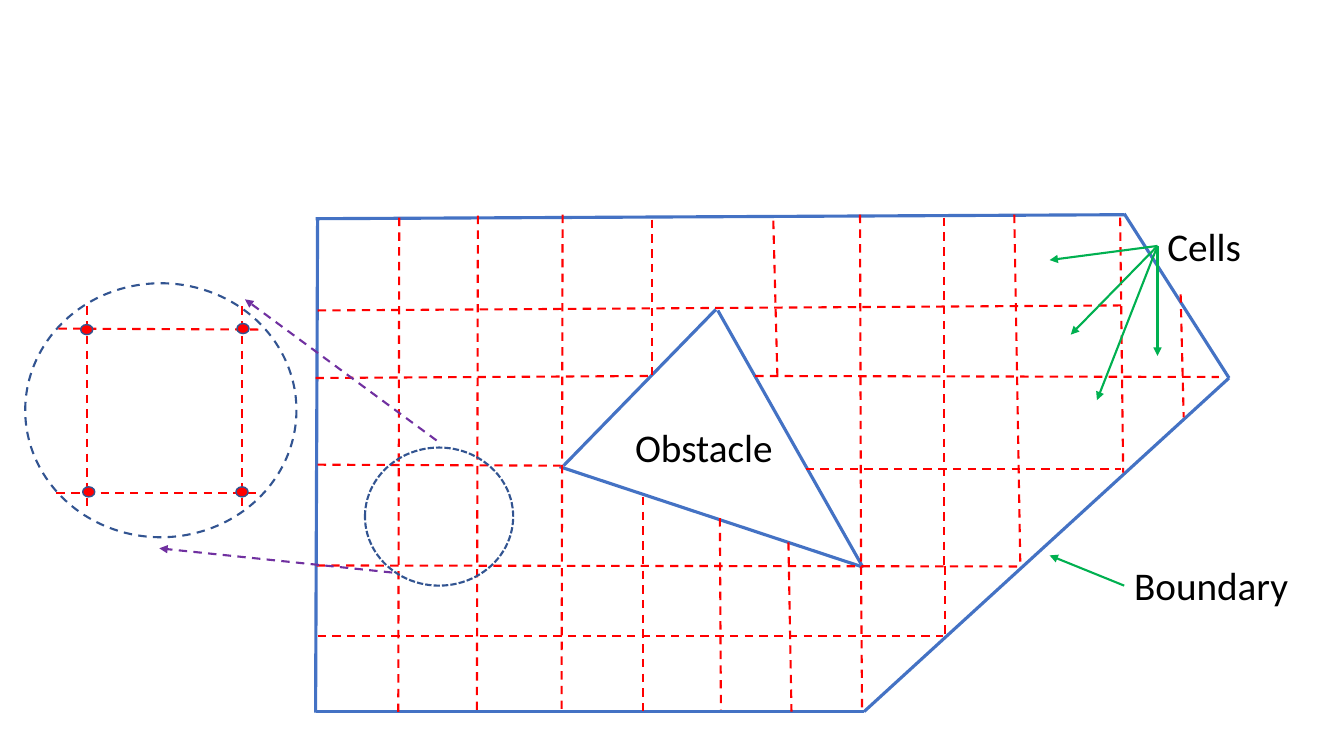
"""Draw a cell grid around an obstacle, with one cell magnified."""
from dataclasses import dataclass

from lxml import etree
from pptx import Presentation
from pptx import util as u
from pptx.dml.color import RGBColor
from pptx.enum import dml, shapes, text
from pptx.oxml.ns import qn


@dataclass(frozen=True)
class Theme:
    font: str = "Calibri"
    label_size: int = 28
    ink: str = "000000"
    wall: str = "4472C4"
    grid: str = "FF0000"
    pointer: str = "00B050"
    zoom: str = "7030A0"
    ring: str = "325491"
    wall_width: float = 2.25
    line_width: float = 1.5
    node_width: float = 1


THEME = Theme()
DASH = dml.MSO_LINE.DASH
SHORT_DASH = dml.MSO_LINE.SQUARE_DOT

WALLS = [
    (3.15, 2.16, 3.13, 7.07),
    (3.13, 2.17, 11.15, 2.13),
    (3.13, 7.06, 8.57, 7.06),
    (11.15, 2.12, 12.19, 3.75),
    (8.57, 7.06, 12.19, 3.75),
]
OBSTACLE_SIDES = [
    (5.59, 4.62, 7.1, 3.07),
    (8.56, 5.63, 7.12, 3.08),
    (8.54, 5.62, 5.55, 4.63),
]
GRID_COLUMNS = [
    (3.96, 2.16, 3.95, 7.08),
    (4.74, 2.14, 4.73, 7.07),
    (5.58, 2.13, 5.57, 7.06),
    (6.47, 2.18, 6.47, 3.72),
    (6.38, 4.93, 6.38, 7.05),
    (7.14, 5.14, 7.15, 7.04),
    (7.67, 2.19, 7.71, 3.72),
    (7.82, 5.38, 7.85, 7.06),
    (8.53, 2.13, 8.54, 5.59),
    (8.54, 5.62, 8.55, 7.03),
    (9.36, 2.16, 9.36, 5.62),
    (9.37, 5.62, 9.37, 6.32),
    (10.06, 2.13, 10.12, 5.61),
    (11.11, 2.16, 11.14, 4.69),
    (11.71, 2.92, 11.74, 4.14),
]
GRID_ROWS = [
    (3.15, 3.08, 11.14, 3.03),
    (3.13, 3.75, 6.46, 3.73),
    (7.49, 3.73, 12.09, 3.74),
    (3.15, 4.61, 5.56, 4.62),
    (7.99, 4.65, 11.12, 4.65),
    (3.14, 5.61, 10.12, 5.62),
    (3.15, 6.31, 9.35, 6.31),
]
ZOOMED_CELL = [
    (0.86, 3.04, 0.86, 5.08),
    (2.4, 3.04, 2.4, 5.08),
    (0.58, 3.26, 2.62, 3.27),
    (0.56, 4.89, 2.6, 4.89),
]
CELL_NODES = [(0.8, 3.22), (2.35, 3.21), (0.82, 4.83), (2.34, 4.83)]
CELLS_ORIGIN = (11.48, 2.44)
CELL_TARGETS = [(10.41, 2.58), (10.62, 3.32), (10.88, 3.97), (11.48, 3.53)]
BOUNDARY_POINTER = (11.15, 5.81, 10.41, 5.51)
ZOOM_ARROWS = [(3.89, 5.68, 1.58, 5.44), (4.33, 4.37, 2.43, 2.97)]
LABELS = [
    ("Obstacle", 6.2, 4.15, 1.69),
    ("Boundary", 11.15, 5.52, 1.86),
    ("Cells", 11.48, 2.16, 1.6),
]


def style_line(line, color, width, dash=None):
    """Set the colour, width and dash of a line."""
    line.color.rgb = RGBColor.from_string(color)
    line.width = u.Pt(width)
    if dash is not None:
        line.dash_style = dash


def add_line(page, ends, color, width=THEME.line_width, dash=None, arrow=False):
    """Draw a straight line, with an arrowhead at its end if asked."""
    line = page.shapes.add_connector(
        shapes.MSO_CONNECTOR.STRAIGHT, *(u.Inches(value) for value in ends))
    style_line(line.line, color, width, dash)
    properties = line._element.spPr
    if arrow:
        outline = properties.find(qn("a:ln"))
        etree.SubElement(outline, qn("a:tailEnd"), type="triangle")
    etree.SubElement(properties, qn("a:effectLst"))


def add_ellipse(page, frame, width, dash=None, fill=None):
    """Draw an outlined ellipse, filled only when a colour is given."""
    ellipse = page.shapes.add_shape(
        shapes.MSO_SHAPE.OVAL, *(u.Inches(value) for value in frame))
    ellipse.shadow.inherit = False
    if fill:
        ellipse.fill.solid()
        ellipse.fill.fore_color.rgb = RGBColor.from_string(fill)
    else:
        ellipse.fill.background()
    style_line(ellipse.line, THEME.ring, width, dash)


def add_label(page, wording, left, top, width):
    """Write a one-line label."""
    box = page.shapes.add_textbox(
        u.Inches(left), u.Inches(top), u.Inches(width), u.Inches(0.57))
    box.text_frame.word_wrap = True
    box.text_frame.auto_size = text.MSO_AUTO_SIZE.SHAPE_TO_FIT_TEXT
    span = box.text_frame.paragraphs[0].add_run()
    span.text = wording
    span.font.name = THEME.font
    span.font.size = u.Pt(THEME.label_size)
    span.font.color.rgb = RGBColor.from_string(THEME.ink)


def main():
    """Build the slide and save it."""
    deck = Presentation()
    deck.slide_width, deck.slide_height = u.Inches(13.33), u.Inches(7.5)
    page = deck.slides.add_slide(deck.slide_layouts[6])

    for ends in WALLS + OBSTACLE_SIDES:
        add_line(page, ends, THEME.wall, THEME.wall_width)
    for ends in GRID_COLUMNS + GRID_ROWS:
        add_line(page, ends, THEME.grid, dash=DASH)
    for label in LABELS:
        add_label(page, *label)

    add_line(page, BOUNDARY_POINTER, THEME.pointer, arrow=True)
    for target in CELL_TARGETS:
        add_line(page, CELLS_ORIGIN + target, THEME.pointer, arrow=True)

    add_ellipse(page, (3.62, 4.44, 1.47, 1.37), THEME.line_width, SHORT_DASH)
    add_ellipse(page, (0.25, 2.81, 2.69, 2.52), THEME.line_width, DASH)
    for ends in ZOOM_ARROWS:
        add_line(page, ends, THEME.zoom, dash=DASH, arrow=True)
    for ends in ZOOMED_CELL:
        add_line(page, ends, THEME.grid, dash=DASH)
    for left, top in CELL_NODES:
        add_ellipse(page, (left, top, 0.12, 0.1), THEME.node_width, fill=THEME.grid)

    deck.save("out.pptx")


if __name__ == "__main__":
    main()
